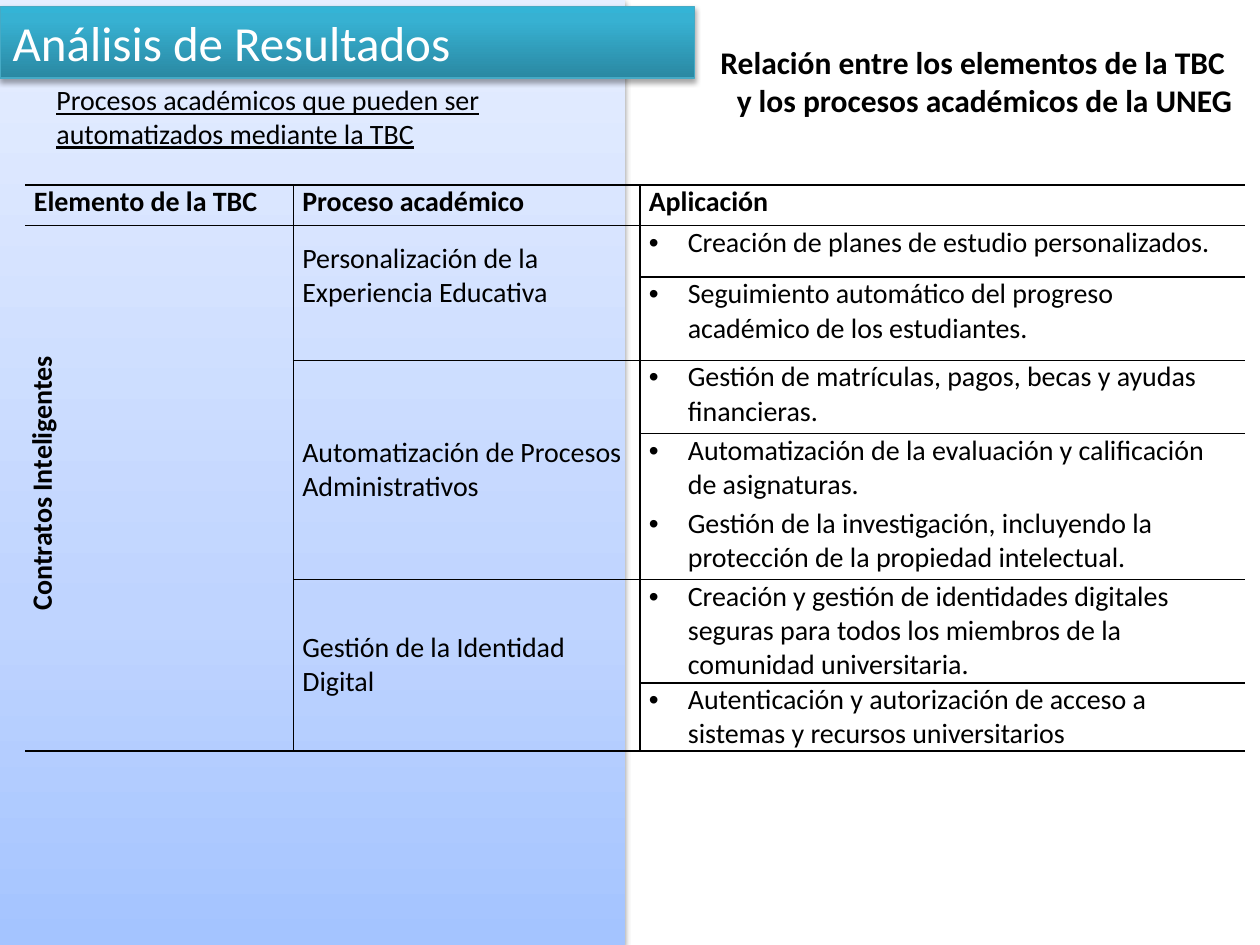
from lxml import etree
from pptx import Presentation
from pptx import util as u
from pptx.dml.color import RGBColor
from pptx.enum import shapes, text
from pptx.oxml.ns import qn

COLORS = {"text": "000000", "title": "FFFFFF", "title_line": "46AAC5", "rule": "000000"}
PANEL_STOPS = [(0, "A4C4FF"), (35, "BFD4FF"), (100, "E6EEFF")]
TITLE_STOPS = [(0, "2A88A2"), (80, "37B1D2"), (100, "34B4D6")]
FONT = "Calibri"

TITLE = "Análisis de Resultados"
SUBTITLE = "Procesos académicos que pueden ser automatizados mediante la TBC"
RELATION = ["Relación entre los elementos de la TBC ", "y los procesos académicos de la UNEG"]

HEADERS = ["Elemento de la TBC", "Proceso académico", "Aplicación"]
ELEMENT = "Contratos Inteligentes"
PROCESSES = [
    ("Personalización de la Experiencia Educativa", [
        "Creación de planes de estudio personalizados.",
        "Seguimiento automático del progreso académico de los estudiantes."]),
    ("Automatización de Procesos Administrativos", [
        "Gestión de matrículas, pagos, becas y ayudas financieras.",
        "Automatización de la evaluación y calificación de asignaturas.",
        "Gestión de la investigación, incluyendo la protección de la propiedad intelectual."]),
    ("Gestión de la Identidad Digital", [
        "Creación y gestión de identidades digitales seguras para todos los miembros de la "
        "comunidad universitaria.",
        "Autenticación y autorización de acceso a sistemas y recursos universitarios"]),
]
COLUMN_WIDTHS = [2.13, 2.75, 4.8]
ROW_HEIGHTS = [0.32, 0.41, 0.66, 0.58, 0.58, 0.58, 0.82, 0.54]
PLAIN_TABLE_STYLE = "{2D5ABB26-0587-4C30-8999-92F81FD0307C}"


def inches(*values):
    return [u.Inches(value) for value in values]


def place(shape, *at):
    shape.left, shape.top, shape.width, shape.height = inches(*at)


def add_node(parent, tag, **attributes):
    return etree.SubElement(parent, qn(tag), {key: str(value) for key, value in attributes.items()})


def paint(shape, stops, shadow_alpha, shadow_distance):
    """Give a shape an upward gradient and a soft shadow below it."""
    shape.fill.gradient()
    gradient = shape.fill._fill._gradFill
    for child in list(gradient):
        gradient.remove(child)
    stop_list = add_node(gradient, "a:gsLst")
    for position, color in stops:
        stop = add_node(stop_list, "a:gs", pos=position * 1000)
        add_node(stop, "a:srgbClr", val=color)
    add_node(gradient, "a:lin", ang=270 * 60000, scaled=0)

    properties = shape._element.spPr
    for old in properties.findall(qn("a:effectLst")):
        properties.remove(old)
    effects = add_node(properties, "a:effectLst")
    shadow = add_node(effects, "a:outerShdw", blurRad=u.Pt(3.1), dist=u.Pt(shadow_distance),
                      dir=90 * 60000, rotWithShape=0)
    color = add_node(shadow, "a:srgbClr", val="000000")
    add_node(color, "a:alpha", val=shadow_alpha * 1000)


def write(para, words, size, color="text", bold=False, underline=False):
    span = para.add_run()
    span.text = words
    font = span.font
    font.name, font.size, font.bold, font.underline = FONT, u.Pt(size), bold, underline
    font.color.rgb = RGBColor.from_string(COLORS[color])


def add_text_box(page, *at):
    frame = page.shapes.add_textbox(*inches(*at)).text_frame
    frame.word_wrap = True
    return frame


def fill_cell(cell, words, bold=False, middle=False):
    if middle:
        cell.vertical_anchor = text.MSO_ANCHOR.MIDDLE
    para = cell.text_frame.paragraphs[0]
    write(para, words, 16, bold=bold)
    return para


def add_bullet(para):
    properties = para._p.get_or_add_pPr()
    properties.set("marL", str(u.Inches(0.31)))
    properties.set("indent", str(-u.Inches(0.31)))
    add_node(properties, "a:buFont", typeface="Arial")
    add_node(properties, "a:buChar", char="•")


def rule_cell(cell, sides):
    properties = cell._tc.get_or_add_tcPr()
    for index, side in enumerate(side for side in "LRTB" if side in sides):
        line = etree.Element(qn("a:ln" + side), {"w": str(u.Pt(1))})
        add_node(add_node(line, "a:solidFill"), "a:srgbClr", val=COLORS["rule"])
        properties.insert(index, line)


def add_process_table(page):
    frame = page.shapes.add_table(len(ROW_HEIGHTS), len(COLUMN_WIDTHS),
                                  *inches(0.2, 1.47, sum(COLUMN_WIDTHS), sum(ROW_HEIGHTS)))
    table = frame.table
    table.first_row = table.horz_banding = False
    table._tbl.tblPr.find(qn("a:tableStyleId")).text = PLAIN_TABLE_STYLE
    for column, width in zip(table.columns, COLUMN_WIDTHS):
        column.width = u.Inches(width)
    for row, height in zip(table.rows, ROW_HEIGHTS):
        row.height = u.Inches(height)
    for cell in table.iter_cells():
        cell.fill.background()
        cell.margin_left = cell.margin_right = u.Inches(0.07)
        cell.margin_top = cell.margin_bottom = 0

    for column, words in enumerate(HEADERS):
        fill_cell(table.cell(0, column), words, bold=True)
        rule_cell(table.cell(0, column), "TB" if column == 2 else "RTB")

    last = len(ROW_HEIGHTS) - 1
    element = table.cell(1, 0)
    element.merge(table.cell(last, 0))
    para = fill_cell(element, ELEMENT, bold=True, middle=True)
    para.alignment = text.PP_ALIGN.CENTER
    para._p.get_or_add_pPr().set("marL", str(u.Inches(0.08)))
    element._tc.get_or_add_tcPr().set("vert", "vert270")
    for row in range(1, last + 1):
        rule_cell(table.cell(row, 0), "RB" if row in (1, last) else "R")

    start = 1
    for name, uses in PROCESSES:
        end = start + len(uses) - 1
        process = table.cell(start, 1)
        process.merge(table.cell(end, 1))
        fill_cell(process, name, middle=True)
        if start == 1:
            process.margin_bottom = u.Inches(0.27)
        for row, use in enumerate(uses, start):
            add_bullet(fill_cell(table.cell(row, 2), use))
            rule_cell(table.cell(row, 1), "RTB" if row == start else "RB" if row == end else "R")
            rule_cell(table.cell(row, 2), "T" * (row == start) + "B" * (row == end))
        start = end + 1


def main():
    deck = Presentation()
    deck.slide_width, deck.slide_height = inches(10, 7.5)
    page = deck.slides.add_slide(deck.slide_layouts[5])

    panel = page.shapes.add_shape(shapes.MSO_SHAPE.RECTANGLE, *inches(-0.04, 0, 5, 7.5))
    panel.line.fill.background()
    paint(panel, PANEL_STOPS, 38, 1.6)
    page.shapes._spTree.insert(2, panel._element)

    title = page.shapes.title
    place(title, 0, 0.05, 5.51, 0.57)
    title.line.color.rgb = RGBColor.from_string(COLORS["title_line"])
    title.line.width = u.Pt(0.75)
    paint(title, TITLE_STOPS, 35, 1.8)
    title.text_frame.vertical_anchor = text.MSO_ANCHOR.MIDDLE
    title.text_frame.auto_size = text.MSO_AUTO_SIZE.NONE
    para = title.text_frame.paragraphs[0]
    para.alignment = text.PP_ALIGN.LEFT
    write(para, TITLE, 28, "title")

    subtitle = add_text_box(page, 0.35, 0.61, 4.33, 0.64)
    write(subtitle.paragraphs[0], SUBTITLE, 16, underline=True)

    relation = add_text_box(page, 5.51, 0.29, 4.37, 0.71)
    for index, words in enumerate(RELATION):
        para = relation.add_paragraph() if index else relation.paragraphs[0]
        para.alignment = text.PP_ALIGN.RIGHT
        write(para, words, 18, bold=True)

    add_process_table(page)
    deck.save("out.pptx")


if __name__ == "__main__":
    main()
